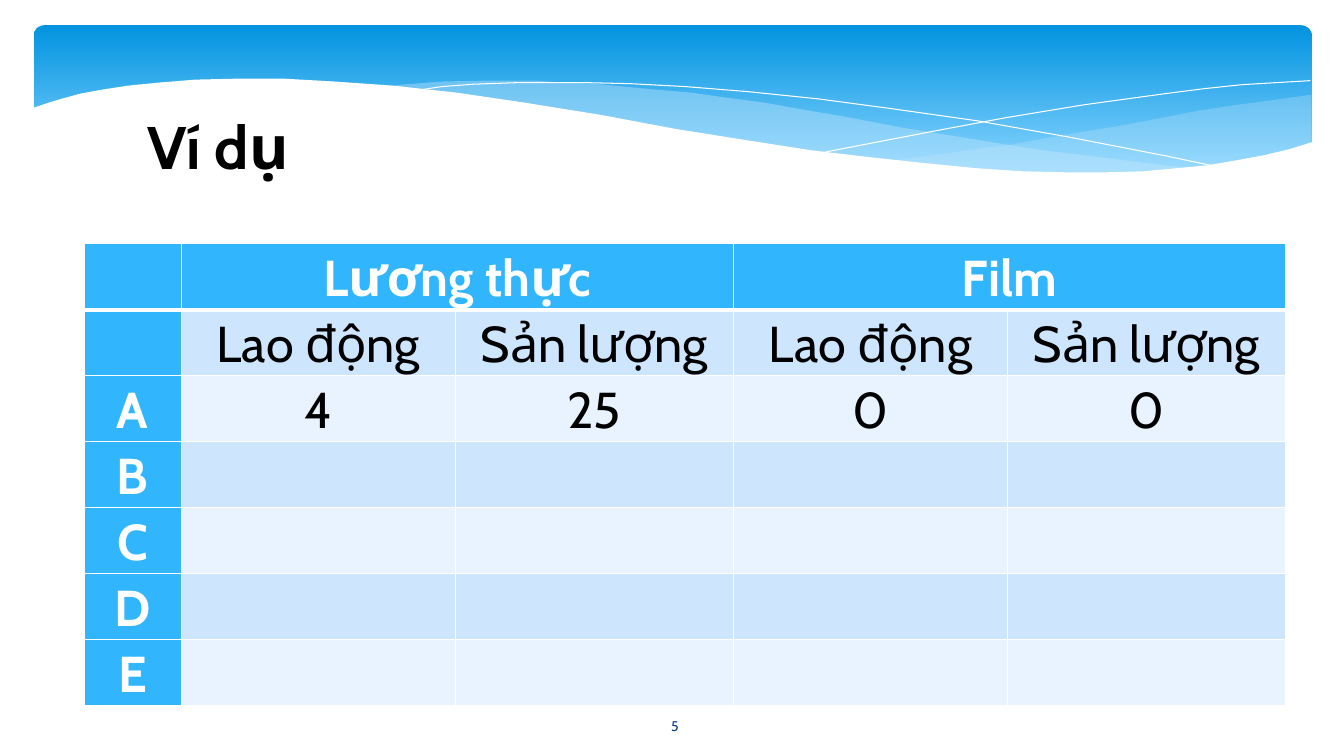
from lxml import etree
from pptx import Presentation
from pptx.dml.color import RGBColor
from pptx.enum.shapes import MSO_SHAPE
from pptx.enum.text import MSO_ANCHOR, MSO_AUTO_SIZE, PP_ALIGN
from pptx.oxml.ns import qn
from pptx.util import Pt

CENTER = PP_ALIGN.CENTER
TOP, MIDDLE = MSO_ANCHOR.TOP, MSO_ANCHOR.MIDDLE
ROUNDED = MSO_SHAPE.ROUNDED_RECTANGLE
NO_AUTOFIT = MSO_AUTO_SIZE.NONE
FONT = "Cabin"
HEX = {
    "white": "FFFFFF", "black": "000000", "navy": "073E87",
    "sky_top": "0293E0", "sky_bottom": "83D3FE", "mist": "C6E7FC",
    "header": "31B6FD", "band_dark": "CEE5FE", "band_light": "E8F3FF",
}
COLOR = {name: RGBColor.from_string(value) for name, value in HEX.items()}

# Wave outlines: (points, fill opacity in percent, or None for an open white line)
right_haze = [
    (936, 67.7), (910.8, 71.3), (883.4, 74.9), (855.4, 79.2), (825.8, 85),
    (799.2, 90), (772.6, 94.3), (747.4, 98.6), (723.6, 103), (699.8, 106.1),
    (677.5, 109.4), (655.9, 112.3), (635, 115.2), (663.1, 118.1),
    (689.8, 120.2), (714.9, 121.7), (738, 123.1), (760.3, 123.8),
    (801.4, 123.8), (819.4, 123.1), (837.4, 121.7), (853.9, 119.5),
    (869, 117.4), (884.2, 115.2), (897.8, 112.3), (911.5, 109.4),
    (924.5, 105.8), (936.7, 102.2), (936.7, 67.7)]
long_haze = [
    (856.8, 120.2), (830.9, 118.1), (803.5, 114.5), (774.7, 110.9),
    (744.5, 107.3), (712.1, 102.2), (677.5, 96.5), (641.5, 90.7),
    (604.1, 83.5), (574.6, 78.5), (546.5, 73.4), (519.1, 69.8),
    (493.9, 66.2), (469.4, 64.1), (445.7, 61.9), (424.1, 59.8),
    (403.2, 59), (383, 57.6), (347, 57.6), (314.6, 58.3), (287.3, 60.5),
    (275, 61.9), (310.3, 64.8), (347.8, 69.8), (388.1, 76.3), (431.3, 83.5),
    (470.9, 90.7), (508.3, 97.2), (543.6, 103), (577.4, 108),
    (609.1, 112.3), (638.6, 115.9), (666.7, 118.8), (693.4, 121),
    (718.6, 122.4), (741.6, 123.8), (763.9, 124.6), (784.8, 124.6),
    (805, 123.8), (823.7, 123.1), (840.2, 121.7)]
falling_line = [
    (296.6, 64.8), (315.4, 61.9), (338.4, 60.2), (371.5, 59), (415.4, 59),
    (450, 59.8), (489.6, 61.9), (534.2, 65.5), (583.9, 70.6), (637.9, 77.8),
    (698.4, 86.4), (763.2, 97.9), (833.8, 111.6), (871.2, 119.5)]
rising_line = [
    (589, 108.7), (626.4, 101.5), (667.4, 93.6), (717.8, 84.2), (774, 74.9),
    (831.6, 67), (859.7, 63.4), (887, 60.5), (912.2, 59), (936, 57.6)]
white_wave = [
    (937.4, 101.5), (920.9, 106.6), (902.9, 110.9), (883.4, 114.5),
    (862.6, 118.1), (840.2, 120.2), (816.5, 122.4), (789.8, 123.1),
    (761.8, 123.1), (730.8, 122.4), (697.7, 120.2), (661, 116.6),
    (621.4, 112.3), (578.9, 107.3), (532.8, 100.1), (483.1, 92.2),
    (429.1, 82.1), (375.1, 73.4), (326.2, 66.2), (280.8, 61.2),
    (239.8, 58.3), (203, 56.2), (169.2, 56.2), (139.7, 56.9), (113.8, 59),
    (91.4, 61.2), (72.7, 64.1), (56.9, 67), (43.9, 70.6), (34.6, 73.4),
    (23.8, 77), (22.3, 77), (22.3, 161.3), (938.2, 161.3), (938.2, 100.8)]
waves = [(right_haze, "mist", 29), (long_haze, "mist", 40),
         (falling_line, None, None), (rising_line, None, None),
         (white_wave, "white", 100)]


def write(frame, text, size, color, bold=False):
    paragraph = frame.paragraphs[0]
    paragraph.text = text
    paragraph.alignment = CENTER
    font = paragraph.font
    font.name, font.size, font.bold = FONT, Pt(size), bold
    font.color.rgb = COLOR[color]
    return paragraph


def set_borders(cell, top, bottom):
    """Give a cell white borders, 1 pt at the sides."""
    properties = cell._tc.get_or_add_tcPr()
    for side, width in (("L", 1), ("R", 1), ("T", top), ("B", bottom)):
        border = etree.SubElement(properties, qn(f"a:ln{side}"), w=str(Pt(width)))
        fill = etree.SubElement(border, qn("a:solidFill"))
        etree.SubElement(fill, qn("a:srgbClr"), val=HEX["white"])


prs = Presentation()
prs.slide_width, prs.slide_height = Pt(960), Pt(540)
slide = prs.slides.add_slide(prs.slide_layouts[5])
shapes = slide.shapes

# Sky banner
sky = shapes.add_shape(ROUNDED, Pt(24), Pt(18), Pt(913), Pt(112.3))
sky.adjustments[0] = 0.07
sky.shadow.inherit = False
sky.line.fill.background()
sky.fill.gradient()
sky.fill.gradient_angle = 270
for stop, color, position in zip(sky.fill.gradient_stops,
                                 ("sky_top", "sky_bottom"), (0, 0.9)):
    stop.color.rgb = COLOR[color]
    stop.position = position

for outline, color, opacity in waves:
    points = [(Pt(x), Pt(y)) for x, y in outline]
    builder = shapes.build_freeform(*points[0])
    builder.add_line_segments(points[1:], close=color is not None)
    wave = builder.convert_to_shape()
    wave.shadow.inherit = False
    if color is None:
        wave.fill.background()
        wave.line.color.rgb = COLOR["white"]
        wave.line.width = Pt(0)
        continue
    wave.line.fill.background()
    wave.fill.solid()
    wave.fill.fore_color.rgb = COLOR[color]
    if opacity < 100:
        tint = wave.element.spPr.find(qn("a:solidFill"))[0]
        etree.SubElement(tint, qn("a:alpha"), val=str(opacity * 1000))

# Title, brought in front of the banner
title = shapes.title
title.element.getparent().append(title.element)
title.left, title.top, title.width, title.height = Pt(2.9), Pt(74.9), Pt(306), Pt(98.6)
title.text_frame.vertical_anchor = TOP
title.text_frame.auto_size = NO_AUTOFIT
write(title.text_frame, "Ví dụ", 42.9, "black", True)

page_number = shapes.add_textbox(Pt(421.2), Pt(504), Pt(121.7), Pt(28.8)).text_frame
page_number.word_wrap = True
page_number.vertical_anchor = MIDDLE
write(page_number, "5", 10, "navy")

# Labour and output table
rows = [
    ["", "Lương thực", "", "Film", ""],
    ["", "Lao động", "Sản lượng", "Lao động", "Sản lượng"],
    ["A", "4", "25", "0", "0"],
] + [[country, "", "", "", ""] for country in "BCDE"]
column_widths = [69.5, 195.8, 198.6, 195.8, 198.6]
row_height = 47.1

table = shapes.add_table(len(rows), len(column_widths), Pt(60), Pt(174.2),
                         Pt(sum(column_widths)), Pt(row_height * len(rows))).table
for column, width in zip(table.columns, column_widths):
    column.width = Pt(width)
for r, row in enumerate(rows):
    table.rows[r].height = Pt(row_height)
    for c, text in enumerate(row):
        cell = table.cell(r, c)
        is_header = r == 0 or c == 0
        set_borders(cell, top=3 if r == 1 else 1, bottom=3 if r == 0 else 1)
        cell.fill.solid()
        band = "band_dark" if r % 2 else "band_light"
        cell.fill.fore_color.rgb = COLOR["header" if is_header else band]
        if text:
            cell.margin_left = cell.margin_right = Pt(5)
            cell.margin_top = cell.margin_bottom = Pt(0)
            paragraph = write(cell.text_frame, text, 36,
                              "white" if is_header else "black", is_header)
            paragraph.line_spacing = 1.07
            paragraph.space_after = Pt(8)
for c in (1, 3):
    table.cell(0, c).merge(table.cell(0, c + 1))

prs.save("out.pptx")
